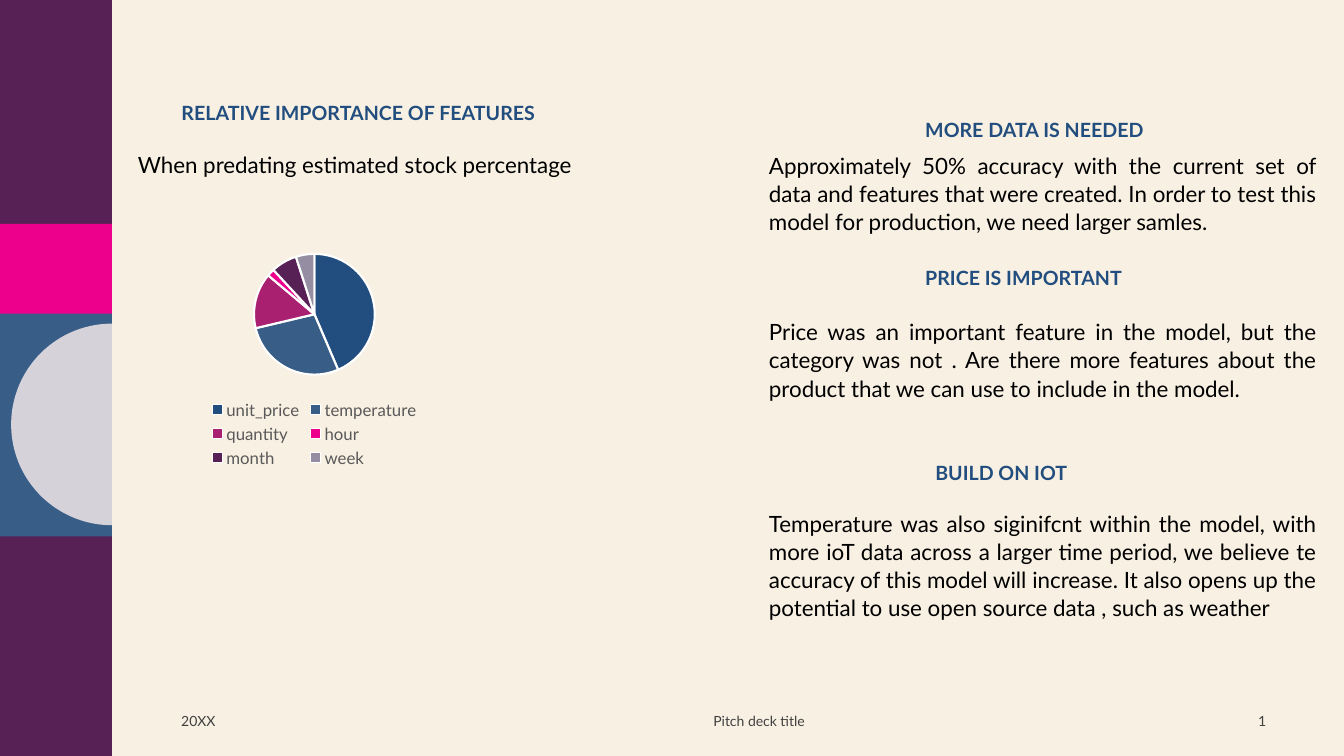
import math

import pptx
import pptx.chart.data
import pptx.dml.color
import pptx.enum.chart
import pptx.enum.shapes
import pptx.enum.text
import pptx.util

Pt = pptx.util.Pt
ALIGN = pptx.enum.text.PP_ALIGN
ANCHOR = pptx.enum.text.MSO_ANCHOR

FONT = "Lato"
CREAM, PURPLE, PINK = "F8F0E3", "582156", "EC008C"
BLUE, NAVY, LILAC = "385E88", "224E7F", "D5D2DA"
BLACK, GREY, LEGEND_GREY = "000000", "404040", "595959"

FEATURES = [
    ("unit_price", 44, NAVY),
    ("temperature", 28, BLUE),
    ("quantity", 15, "AA2070"),
    ("hour", 2, PINK),
    ("month", 7, PURPLE),
    ("week", 5, "958EA2"),
]

# Heading, its left and top, then body text, its top and height
FINDINGS = [
    ("MORE DATA IS NEEDED", 653.8, 82.8,
     "Approximately 50% accuracy with the current set of data and features that were "
     "created. In order to test this model for production, we need larger samles.",
     104.4, 75.6),
    ("PRICE IS IMPORTANT", 653.8, 188.6,
     "Price was an important feature in the model, but the category was not . Are there "
     "more features about the product that we can use to include in the model.",
     223.2, 75.6),
    ("BUILD ON IOT", 661, 327.6,
     "Temperature was also siginifcnt within the model, with more ioT data across a larger "
     "time period, we believe te accuracy of this model will increase. It also opens up the "
     "potential to use open source data , such as weather",
     360, 103.7),
]


def color(hex_string):
    return pptx.dml.color.RGBColor.from_string(hex_string)


def paint(shape, fill):
    shape.fill.solid()
    shape.fill.fore_color.rgb = color(fill)
    shape.line.fill.background()
    shape.shadow.inherit = False


def write(shape, text, size, ink, bold=False, align=ALIGN.LEFT, anchor=ANCHOR.TOP):
    frame = shape.text_frame
    frame.word_wrap = True
    frame.auto_size = pptx.enum.text.MSO_AUTO_SIZE.NONE
    frame.vertical_anchor = anchor
    frame.text = text
    para = frame.paragraphs[0]
    para.alignment = align
    para.font.name = FONT
    para.font.size = Pt(size)
    para.font.bold = bold
    para.font.color.rgb = color(ink)
    return para


def add_text(page, box, text, size, ink, **style):
    shape = page.shapes.add_textbox(*map(Pt, box))
    return write(shape, text, size, ink, **style)


def add_heading(page, box, text):
    para = add_text(page, box, text, 14, NAVY, bold=True)
    para.line_spacing = 0.9


def add_side_band(page, box):
    left, top, width, height = box
    tall = 160
    # Stacked blocks, back to front
    blocks = [(height - tall, tall, PURPLE), (223.2, tall, BLUE),
              (0, tall, PURPLE), (tall, 64, PINK)]
    for offset, block_height, fill in blocks:
        block = page.shapes.add_shape(
            pptx.enum.shapes.MSO_SHAPE.RECTANGLE,
            Pt(left), Pt(top + offset), Pt(width), Pt(block_height))
        paint(block, fill)

    # Half disc resting on the band's right edge
    radius, center_x, center_y = 72, left + width, top + 303.2
    steps = 90
    arc = []
    for step in range(steps + 1):
        angle = math.pi * (0.5 + step / steps)
        arc.append((Pt(center_x + radius * math.cos(angle)),
                    Pt(center_y + radius * math.sin(angle))))
    builder = page.shapes.build_freeform(*arc[0])
    builder.add_line_segments(arc[1:], close=True)
    paint(builder.convert_to_shape(), LILAC)


def add_importance_chart(page, box):
    names, values, fills = zip(*FEATURES)
    data = pptx.chart.data.CategoryChartData()
    data.categories = names
    data.add_series("Series 1", values)
    chart = page.shapes.add_chart(
        pptx.enum.chart.XL_CHART_TYPE.PIE, *map(Pt, box), data).chart
    chart.has_title = False
    chart.font.name = FONT
    chart.font.size = Pt(10)
    chart.font.color.rgb = color(BLACK)

    chart.has_legend = True
    legend = chart.legend
    legend.position = pptx.enum.chart.XL_LEGEND_POSITION.BOTTOM
    legend.include_in_layout = False
    legend.font.name = FONT
    legend.font.size = Pt(12)
    legend.font.color.rgb = color(LEGEND_GREY)

    plot = chart.plots[0]
    plot.vary_by_categories = True
    for index, fill in enumerate(fills):
        slice_format = plot.series[0].points[index].format
        slice_format.fill.solid()
        slice_format.fill.fore_color.rgb = color(fill)
        slice_format.line.color.rgb = color("FFFFFF")
        slice_format.line.width = Pt(1.5)


def add_features_region(page, box):
    left, top, width, height = box
    # Slide title
    title = page.shapes.title
    title.left, title.top = Pt(left + 31), Pt(top)
    title.width, title.height = Pt(290.2), Pt(28.8)
    para = write(title, "RELATIVE IMPORTANCE OF FEATURES", 14, NAVY, bold=True)
    para.line_spacing = 0.9
    # Subtitle and chart
    add_text(page, (left, top + 33.8, width, 26.6),
             "When predating estimated stock percentage", 16, BLACK)
    add_importance_chart(page, (left + 25.2, top + 100.8, 216, height - 100.8))


def add_findings_region(page, left, width):
    for heading, heading_left, heading_top, body, body_top, body_height in FINDINGS:
        add_heading(page, (heading_left, heading_top, 283, 28.8), heading)
        para = add_text(page, (left, body_top, width, body_height),
                        body, 16, BLACK, align=ALIGN.JUSTIFY)
        para.line_spacing = Pt(20)
        para.space_before = Pt(10)


def add_footer(page, top):
    for left, width, text, align in [(122.4, 86.4, "20XX", ALIGN.LEFT),
                                     (452.2, 180, "Pitch deck title", ALIGN.CENTER),
                                     (875.5, 36, "1", ALIGN.RIGHT)]:
        add_text(page, (left, top, width, 28.8), text, 10, GREY,
                 align=align, anchor=ANCHOR.MIDDLE)


def main():
    deck = pptx.Presentation()
    deck.slide_width, deck.slide_height = Pt(960), Pt(540)
    page = deck.slides.add_slide(deck.slide_layouts[5])
    page.background.fill.solid()
    page.background.fill.fore_color.rgb = color(CREAM)

    add_side_band(page, (0, 0, 80, 540))
    add_features_region(page, (91.4, 70.6, 360.7, 266.4))
    add_findings_region(page, 542.2, 405.4)
    add_footer(page, 500.4)
    deck.save("out.pptx")


if __name__ == "__main__":
    main()
